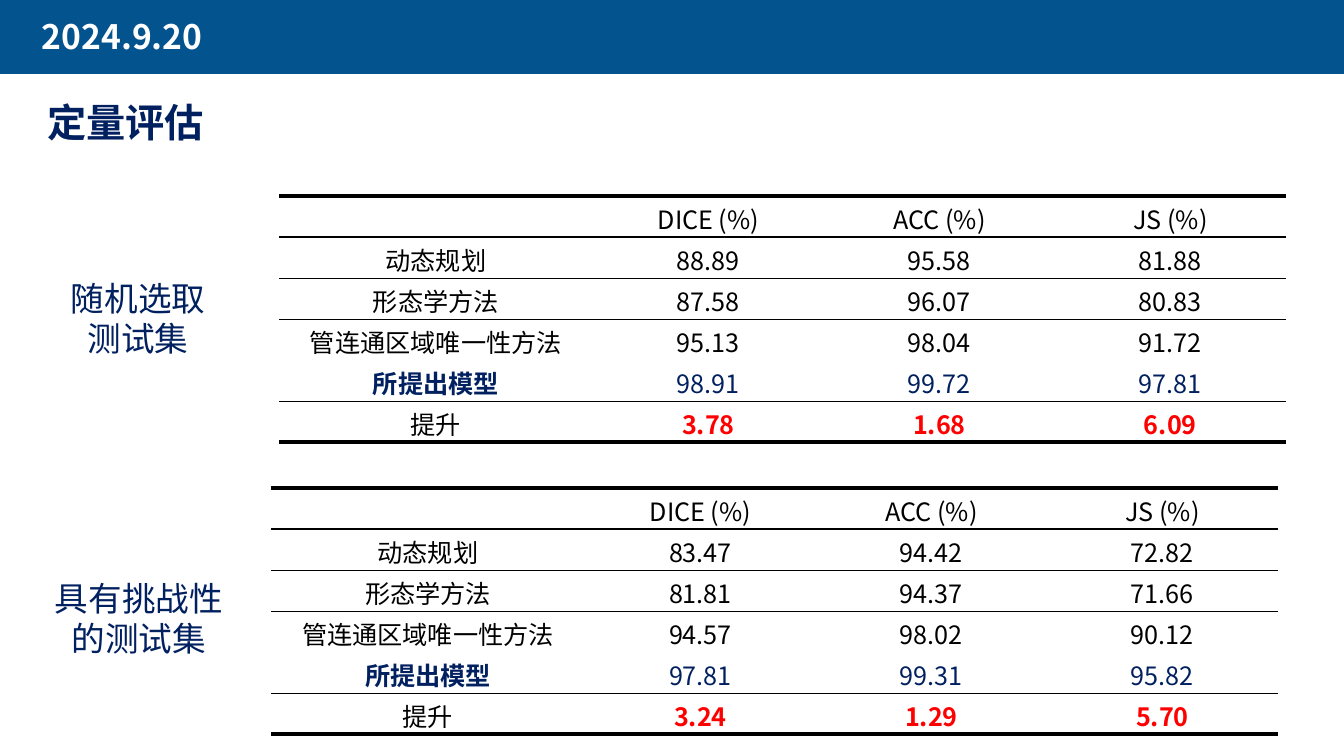
from lxml import etree
from pptx import Presentation
from pptx.dml.color import RGBColor
from pptx.enum.shapes import MSO_SHAPE
from pptx.enum.text import MSO_ANCHOR, MSO_AUTO_SIZE, PP_ALIGN
from pptx.oxml.ns import qn
from pptx.util import Pt

RECTANGLE = MSO_SHAPE.RECTANGLE
TOP, MIDDLE = MSO_ANCHOR.TOP, MSO_ANCHOR.MIDDLE
LEFT, CENTER = PP_ALIGN.LEFT, PP_ALIGN.CENTER
FIT_SHAPE = MSO_AUTO_SIZE.SHAPE_TO_FIT_TEXT

PX = 12192000 / 1344  # EMU in one px
THEME = {
    "font": "Noto Sans CJK SC",
    "band": "03538F", "navy": "002060", "black": "000000",
    "white": "FFFFFF", "red": "FF0000",
    "title": 28, "label": 24, "body": 18,
    "leading": 1.2,
}
NO_TABLE_STYLE = "{2D5ABB26-0587-4C30-8999-92F81FD0307C}"


def write(frame, text, size, color, align, bold=False, **frame_format):
    for name, value in frame_format.items():
        setattr(frame, name, value)
    paragraph = frame.paragraphs[0]
    paragraph.alignment = align
    paragraph.line_spacing = Pt(round(THEME[size] * THEME["leading"], 1))
    run = paragraph.add_run()
    run.text = text
    font_format = {"name": THEME["font"], "size": Pt(THEME[size]), "bold": bold}
    for name, value in font_format.items():
        setattr(run.font, name, value)
    run.font.color.rgb = RGBColor.from_string(THEME[color])
    east_asian = etree.SubElement(run.font._element, qn("a:ea"))
    east_asian.set("typeface", THEME["font"])


def px(*lengths):
    return [round(length * PX) for length in lengths]


prs = Presentation()
prs.slide_width, prs.slide_height = px(1344, 756)
slide = prs.slides.add_slide(prs.slide_layouts[5])

# Title
title = slide.shapes.title
title.left, title.top, title.width, title.height = px(37, 93, 178, 57)
write(title.text_frame, "定量评估", "title", "navy", LEFT, bold=True,
      word_wrap=False, vertical_anchor=TOP, auto_size=FIT_SHAPE)

# Date band
band = slide.shapes.add_shape(RECTANGLE, *px(0, -1, 1344, 75))
band.shadow.inherit = False
band.fill.solid()
band.fill.fore_color.rgb = RGBColor.from_string(THEME["band"])
band.line.fill.background()

# Date and test set labels
captions = [
    ("2024.9.20", (32, 11, 672, 50), "white", LEFT, True),
    ("随机选取测试集", (49, 273, 178, 92), "navy", CENTER, False),
    ("具有挑战性的测试集", (42, 573, 194, 92), "navy", CENTER, False),
]
for text, box, color, align, bold in captions:
    caption = slide.shapes.add_textbox(*px(*box))
    write(caption.text_frame, text, "label", color, align, bold,
          word_wrap=True, auto_size=FIT_SHAPE)

# Scores of each method on the two test sets
metrics = ["", "DICE (%)", "ACC (%)", "JS (%)"]
methods = ["动态规划", "形态学方法", "管连通区域唯一性方法", "所提出模型", "提升"]
PROPOSED, GAIN = 4, 5
test_sets = [
    ((279, 196), [
        ("88.89", "95.58", "81.88"),
        ("87.58", "96.07", "80.83"),
        ("95.13", "98.04", "91.72"),
        ("98.91", "99.72", "97.81"),
        ("3.78", "1.68", "6.09"),
    ]),
    ((271, 488), [
        ("83.47", "94.42", "72.82"),
        ("81.81", "94.37", "71.66"),
        ("94.57", "98.02", "90.12"),
        ("97.81", "99.31", "95.82"),
        ("3.24", "1.29", "5.70"),
    ]),
]
column_widths = px(314, 231, 231, 231)
row_height = px(41)[0]
# Rule widths in points by row: (top, bottom)
rules = {0: (3, 1), 1: (1, 0.5), 2: (0.5, 0), 4: (0, 0.5), 5: (0.5, 3)}
cell_margins = dict(zip(("margin_top", "margin_bottom"), px(10, 0)))

for origin, scores in test_sets:
    rows = [metrics] + [[method, *values] for method, values in zip(methods, scores)]
    frame = slide.shapes.add_table(len(rows), len(metrics), *px(*origin, 1007, 246))
    scoreboard = frame.table
    scoreboard.first_row = scoreboard.horz_banding = False
    next(frame._element.iter(qn("a:tableStyleId"))).text = NO_TABLE_STYLE
    for column, width in zip(scoreboard.columns, column_widths):
        column.width = width

    for r, row in enumerate(rows):
        scoreboard.rows[r].height = row_height
        for c, text in enumerate(row):
            cell = scoreboard.cell(r, c)
            for name, value in {"vertical_anchor": MIDDLE, **cell_margins}.items():
                setattr(cell, name, value)

            # Horizontal rules
            properties = cell._tc.get_or_add_tcPr()
            for side, width in zip(("a:lnT", "a:lnB"), rules.get(r, (0, 0))):
                if width:
                    rule = etree.SubElement(properties, qn(side), w=str(Pt(width)))
                    fill = etree.SubElement(rule, qn("a:solidFill"))
                    etree.SubElement(fill, qn("a:srgbClr"), val=THEME["black"])
            cell.fill.background()

            # Proposed model in navy, gains in red
            if r == PROPOSED:
                color, bold = "navy", c == 0
            elif r == GAIN and c > 0:
                color, bold = "red", True
            else:
                color, bold = "black", False
            if text:
                write(cell.text_frame, text, "body", color, CENTER, bold)

prs.save("out.pptx")
